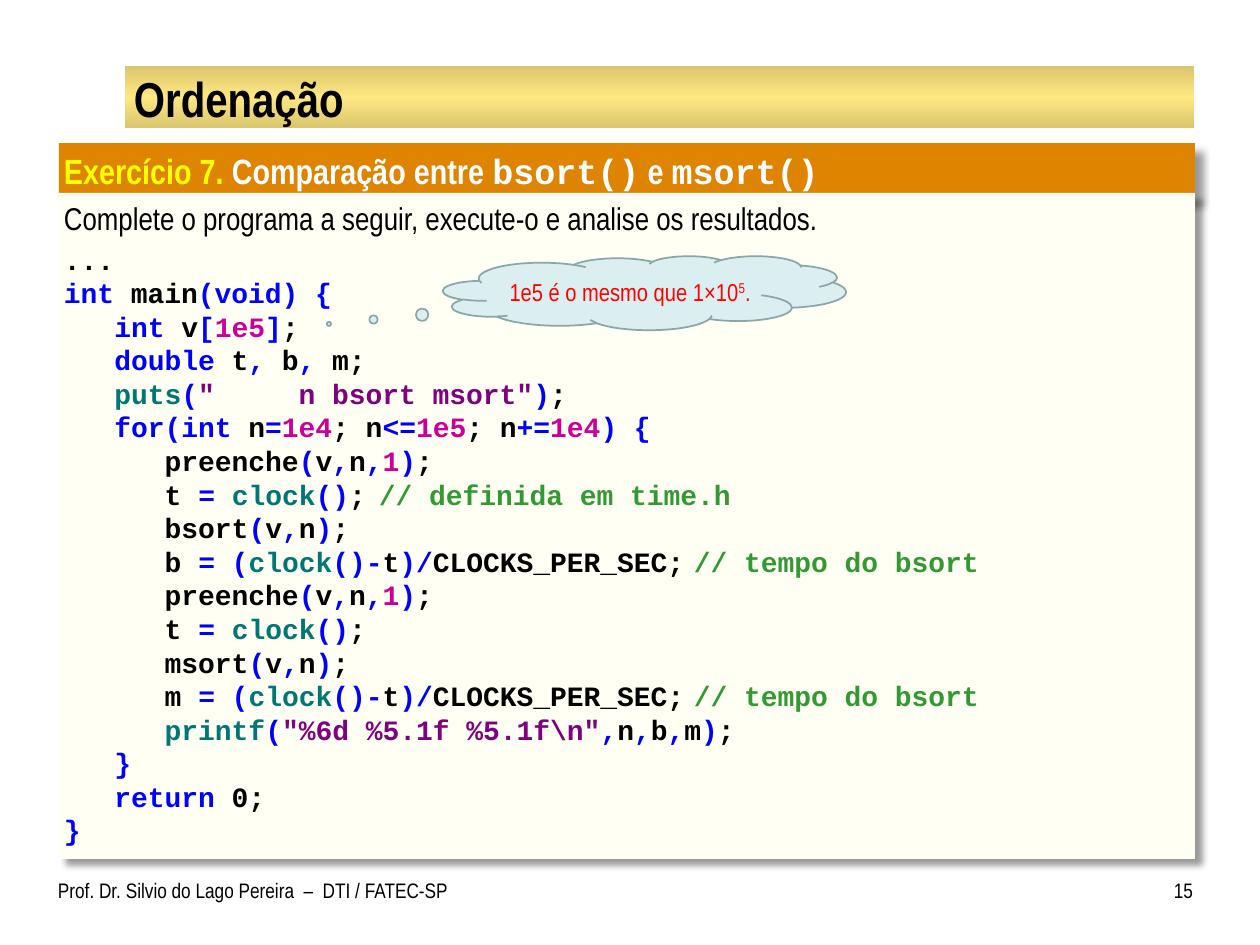
from dataclasses import dataclass

from lxml import etree
from pptx import Presentation
from pptx.dml.color import RGBColor
from pptx.enum.shapes import MSO_SHAPE
from pptx.enum.text import MSO_ANCHOR, MSO_AUTO_SIZE, PP_ALIGN
from pptx.oxml.ns import qn
from pptx.util import Pt

RECT, CLOUD = MSO_SHAPE.RECTANGLE, MSO_SHAPE.CLOUD_CALLOUT
TOP, MIDDLE = MSO_ANCHOR.TOP, MSO_ANCHOR.MIDDLE
LEFT, CENTER, RIGHT, JUSTIFY = (PP_ALIGN.LEFT, PP_ALIGN.CENTER,
                                PP_ALIGN.RIGHT, PP_ALIGN.JUSTIFY)
GROW, FIXED = MSO_AUTO_SIZE.SHAPE_TO_FIT_TEXT, MSO_AUTO_SIZE.NONE
PX = 914400 / 126  # EMU per pixel


@dataclass(frozen=True)
class Theme:
    prose: str = "Arial Narrow"
    mono: str = "Courier New"
    title: int = 28
    heading: int = 20
    body: int = 18
    code: int = 16
    note: int = 14
    footer: int = 12
    black: str = "000000"
    white: str = "FFFFFF"
    yellow: str = "FFFF00"
    red: str = "FF0000"
    gold_edge: str = "DAC66E"
    gold: str = "FFE781"
    orange: str = "DE8400"
    cream: str = "FFFFF3"
    cloud: str = "DCEFF0"
    cloud_line: str = "8AA6A8"


T = Theme()

# Syntax colours, selected in the markup by § and one letter:
# keyword or operator, plain, number, function, string, comment
SYNTAX = {"k": "0000FF", "p": T.black, "n": "CC0099",
          "f": "007774", "s": "800080", "c": "339933"}
COLUMN = 16.8  # width of one code character in px
INDENT_COLUMNS, COMMENT_COLUMN = 3, 39

# Lines of the program: indent level, marked-up code, comment
FILL = (2, "§ppreenche§k(§pv§k,§pn§k,§n1§k)§p;", "")
START = "§pt §k= §fclock§k()§p;"


def sort_line(name):
    return 2, f"§p{name}§k(§pv§k,§pn§k)§p;", ""


def elapsed_line(name):
    code = f"§p{name} §k= (§fclock§k()-§pt§k)/§pCLOCKS_PER_SEC;"
    return 2, code, "// tempo do bsort"


PROGRAM = [
    (0, "§p...", ""),
    (0, "§kint §pmain§k(void) {", ""),
    (1, "§kint§p v§k[§n1e5§k]§p;", ""),
    (1, "§kdouble§p t§k,§p b§k,§p m;", ""),
    (1, '§fputs§k(§s"     n bsort msort"§k)§p;', ""),
    (1, "§kfor(int§p n§k=§n1e4§p; n§k<=§n1e5§p; n§k+=§n1e4§k) {", ""),
    FILL,
    (2, START, "// definida em time.h"),
    sort_line("bsort"),
    elapsed_line("b"),
    FILL,
    (2, START, ""),
    sort_line("msort"),
    elapsed_line("m"),
    (2, r'§fprintf§k(§s"%6d %5.1f %5.1f\n"§k,§pn§k,§pb§k,§pm§k)§p;', ""),
    (1, "§k}", ""),
    (1, "§kreturn§p 0;", ""),
    (0, "§k}", ""),
]


def px(length):
    return round(length * PX)


def rgb(color):
    return RGBColor.from_string(color)


def add_run(paragraph, text, size, color, font=T.prose, bold=False):
    run = paragraph.add_run()
    run.text = text
    formats = {"size": Pt(size), "name": font, "bold": bold}
    for key, value in formats.items():
        setattr(run.font, key, value)
    run.font.color.rgb = rgb(color)
    return run


def prepare_text(shape, insets, anchor=TOP, align=LEFT, auto_size=FIXED):
    """Set up the text frame and return its first paragraph."""
    left, top, right, bottom = map(px, insets)
    formats = {"margin_left": left, "margin_top": top,
               "margin_right": right, "margin_bottom": bottom,
               "word_wrap": True, "vertical_anchor": anchor,
               "auto_size": auto_size}
    for key, value in formats.items():
        setattr(shape.text_frame, key, value)
    paragraph = shape.text_frame.paragraphs[0]
    paragraph.alignment = align
    return paragraph


def add_box(shapes, kind, box, fill):
    shape = shapes.add_shape(kind, *map(px, box))
    shape.shadow.inherit = False
    shape.fill.solid()
    shape.fill.fore_color.rgb = rgb(fill)
    shape.line.fill.background()
    return shape


def add_label(slide, box, text, size, insets, bold=False, **layout):
    label = slide.shapes.add_textbox(*map(px, box))
    add_run(prepare_text(label, insets, **layout), text, size, T.black, bold=bold)


def add_title_bar(slide):
    bar = add_box(slide.shapes, RECT, (125, 66, 1069, 62), T.gold)
    bar.fill.gradient()
    bar.fill.gradient_angle = 90
    stops = bar.fill._fill._gradFill.find(qn("a:gsLst"))
    for stop in list(stops):
        stops.remove(stop)
    for position, color in ((0, T.gold_edge), (50000, T.gold), (100000, T.gold_edge)):
        stop = etree.SubElement(stops, qn("a:gs"), pos=str(position))
        etree.SubElement(stop, qn("a:srgbClr"), val=color)


def add_panel(shapes, box, fill):
    """Rectangle with a soft shadow to the lower right."""
    panel = add_box(shapes, RECT, box, fill)
    effects = panel._element.spPr.find(qn("a:effectLst"))
    shadow = etree.SubElement(effects, qn("a:outerShdw"), blurRad=str(Pt(4)),
                              dist=str(Pt(6)), dir="2700000", algn="tl",
                              rotWithShape="0")
    color = etree.SubElement(shadow, qn("a:srgbClr"), val=T.black)
    etree.SubElement(color, qn("a:alpha"), val="40000")
    return panel


def add_code_line(frame, level, code, comment):
    line = frame.add_paragraph()
    line.alignment = LEFT
    properties = line._p.get_or_add_pPr()
    properties.set("marL", "0")
    properties.set("indent", str(px(level * INDENT_COLUMNS * COLUMN)))
    for part in code.split("§")[1:]:
        add_run(line, part[1:], T.code, SYNTAX[part[0]], T.mono, True)
    if comment:
        tabs = etree.SubElement(properties, qn("a:tabLst"))
        etree.SubElement(tabs, qn("a:tab"), pos=str(px(COMMENT_COLUMN * COLUMN)), algn="l")
        add_run(line, "\t" + comment, T.code, SYNTAX["c"], T.mono, True)
    return line


def add_exercise(slide):
    shapes = slide.shapes.add_group_shape().shapes

    # Heading
    heading = add_panel(shapes, (59, 143, 1136, 55), T.orange)
    line = prepare_text(heading, (5, 6, 13, 6), auto_size=GROW)
    for text, color, font in (("Exercício 7.", T.yellow, T.prose),
                              (" Comparação entre ", T.white, T.prose),
                              ("bsort()", T.white, T.mono),
                              (" e ", T.white, T.prose),
                              ("msort()", T.white, T.mono)):
        add_run(line, text, T.heading, color, font, True)

    # Task and program
    body = add_panel(shapes, (59, 193, 1136, 666), T.cream)
    task = prepare_text(body, (5, 6, 5, 6), align=JUSTIFY, auto_size=GROW)
    task.space_before = Pt(3)
    add_run(task, "Complete o programa a seguir, execute-o e analise os resultados.",
            T.body, T.black)
    lines = [add_code_line(body.text_frame, *entry) for entry in PROGRAM]
    lines[0].space_before = Pt(3)


def add_cloud_note(slide):
    cloud = add_box(slide.shapes, CLOUD, (443, 256, 403, 74), T.cloud)
    cloud.adjustments[0], cloud.adjustments[1] = -0.783, 0.418
    cloud.line.color.rgb = rgb(T.cloud_line)
    cloud.line.width = Pt(1)
    note = prepare_text(cloud, (5, 5, 5, 5), MIDDLE, CENTER)
    _, exponent, _ = [add_run(note, text, T.note, T.red)
                      for text in ("1e5 é o mesmo que 1×10", "5", ".")]
    exponent.font._element.set("baseline", "30000")


def main():
    presentation = Presentation()
    presentation.slide_width, presentation.slide_height = px(1260), px(945)
    slide = presentation.slides.add_slide(presentation.slide_layouts[6])

    add_title_bar(slide)
    add_exercise(slide)
    add_label(slide, (126, 68, 1067, 59), "Ordenação", T.title, (8, 1, 8, 1),
              bold=True, anchor=MIDDLE)

    # Footer
    add_label(slide, (58, 872, 412, 53),
              "Prof. Dr. Silvio do Lago Pereira  –  DTI / FATEC-SP",
              T.footer, (0, 6, 13, 6))
    add_label(slide, (1144, 872, 49, 53), "15", T.footer, (13, 6, 0, 6), align=RIGHT)

    add_cloud_note(slide)
    presentation.save("out.pptx")


if __name__ == "__main__":
    main()
